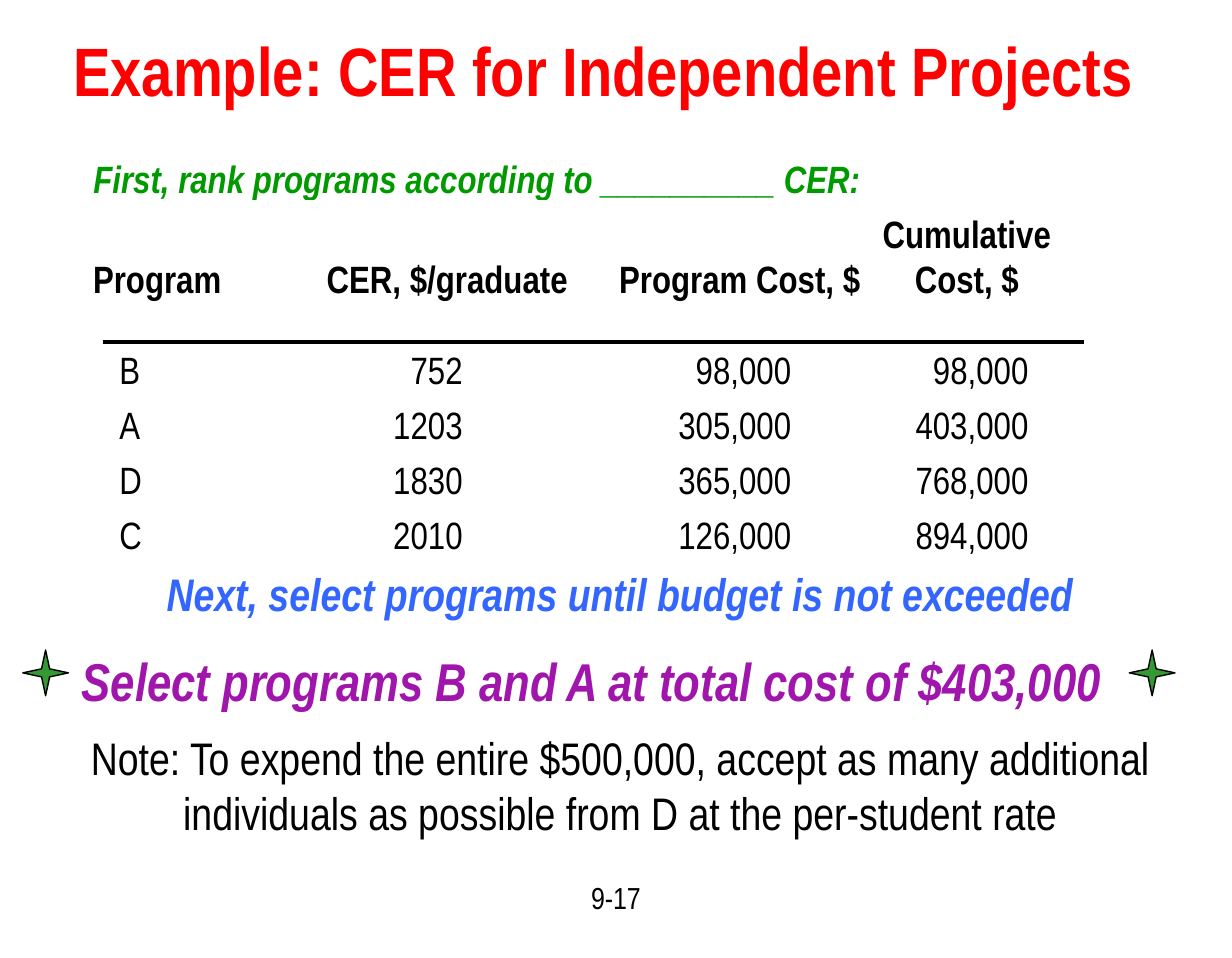
from pptx import Presentation
from pptx.dml.color import RGBColor
from pptx.enum.shapes import MSO_CONNECTOR, MSO_SHAPE
from pptx.enum.text import MSO_ANCHOR as Anchor, PP_ALIGN as Align
from pptx.oxml.ns import qn
from pptx.util import Inches, Pt
from lxml.etree import SubElement

THEME = {
    "font": "Arial Narrow",
    "title": (36, "FF0000", True, False),
    "intro": (20, "009900", True, True),
    "header": (20, "000000", True, False),
    "body": (20, "000000", False, False),
    "next": (24, "3366FF", True, True),
    "answer": (28, "A015AB", True, True),
    "note": (24, "000000", False, False),
    "number": (16, "000000", False, False),
    "star": "339933",
    "line": "000000",
}

presentation = Presentation()
presentation.slide_width = Inches(9)
presentation.slide_height = Inches(7)
slide = presentation.slides.add_slide(presentation.slide_layouts[6])
UNIT = presentation.slide_width / 108


def grid(*units):
    return [round(unit * UNIT) for unit in units]


def style(paragraph, name, align, space):
    size, color, bold, italic = THEME[name]
    paragraph.alignment = align
    paragraph.space_before = Pt(space)
    font = paragraph.font
    font.name, font.size = THEME["font"], Pt(size)
    font.bold, font.italic = bold, italic
    font.color.rgb = RGBColor.from_string(color)


text_boxes = [
    ((46.8, 76.5, 14.4, 5.6), [("9-17", "number", Align.CENTER, 0)]),
    ((1.1, 1.9, 103.6, 9.1),
     [("Example: CER for Independent Projects", "title", Align.CENTER, 0)]),
    ((7, 13, 90, 5),
     [("First, rank programs according to __________ CER:", "intro", Align.LEFT, 0)]),
    ((6, 49, 96.7, 25.2), [
        ("Next, select programs until budget is not exceeded", "next", Align.CENTER, 0),
        ("Select programs B and A at total cost of $403,000", "answer", Align.LEFT, 14.5),
        ("Note: To expend the entire $500,000, accept as many additional "
         "individuals as possible from D at the per-student rate", "note", Align.CENTER, 9.5),
    ]),
]
for place, lines in text_boxes:
    frame = slide.shapes.add_textbox(*grid(*place)).text_frame
    frame.word_wrap = True
    for index, (text, name, align, space) in enumerate(lines):
        paragraph = frame.add_paragraph() if index else frame.paragraphs[0]
        paragraph.text = text
        style(paragraph, name, align, space)

rows = [
    ("Program", "CER, $/graduate", "Program Cost, $", "Cumulative\nCost, $"),
    ("B", "752", "98,000", "98,000"),
    ("A", "1203", "305,000", "403,000"),
    ("D", "1830", "365,000", "768,000"),
    ("C", "2010", "126,000", "894,000"),
]
column_widths = (16.8, 28.5, 22.8, 17)
right_insets = (0, 12.9, 6.9, 3.1)
row_height = 4.02
header_height = 3 * row_height
body_top_inset = 0.8

table = slide.shapes.add_table(
    len(rows), len(column_widths),
    *grid(8.16, 17.6, sum(column_widths), header_height + 4 * row_height)).table
table.first_row = table.horz_banding = False
for column, width in zip(table.columns, grid(*column_widths)):
    column.width = width
for r, values in enumerate(rows):
    is_header = r == 0
    table.rows[r].height = grid(header_height if is_header else row_height)[0]
    for c, value in enumerate(values):
        cell = table.cell(r, c)
        cell.fill.background()
        cell.vertical_anchor = Anchor.BOTTOM if is_header else Anchor.TOP
        cell.margin_left, cell.margin_right, cell.margin_top, cell.margin_bottom = grid(
            2.3 if c == 0 and not is_header else 0,
            0 if is_header else right_insets[c],
            0 if is_header else body_top_inset,
            row_height if is_header else 0)
        cell.text = value
        align = Align.LEFT if c == 0 else Align.CENTER if is_header else Align.RIGHT
        for index, paragraph in enumerate(cell.text_frame.paragraphs):
            style(paragraph, "header" if is_header else "body", align, 5.25 * index)

for left in (2, 99):
    star = slide.shapes.add_shape(MSO_SHAPE.STAR_4_POINT, *grid(left, 57, 4, 4))
    star.shadow.inherit = False
    star.fill.solid()
    star.fill.fore_color.rgb = RGBColor.from_string(THEME["star"])
    star.line.color.rgb = RGBColor.from_string(THEME["line"])
    star.line.width = Pt(0.75)

rule = slide.shapes.add_connector(MSO_CONNECTOR.STRAIGHT, *grid(9, 30, 95, 30))
rule.line.color.rgb = RGBColor.from_string(THEME["line"])
rule.line.width = Pt(2.25)
SubElement(rule._element.spPr, qn("a:effectLst"))

presentation.save("out.pptx")
